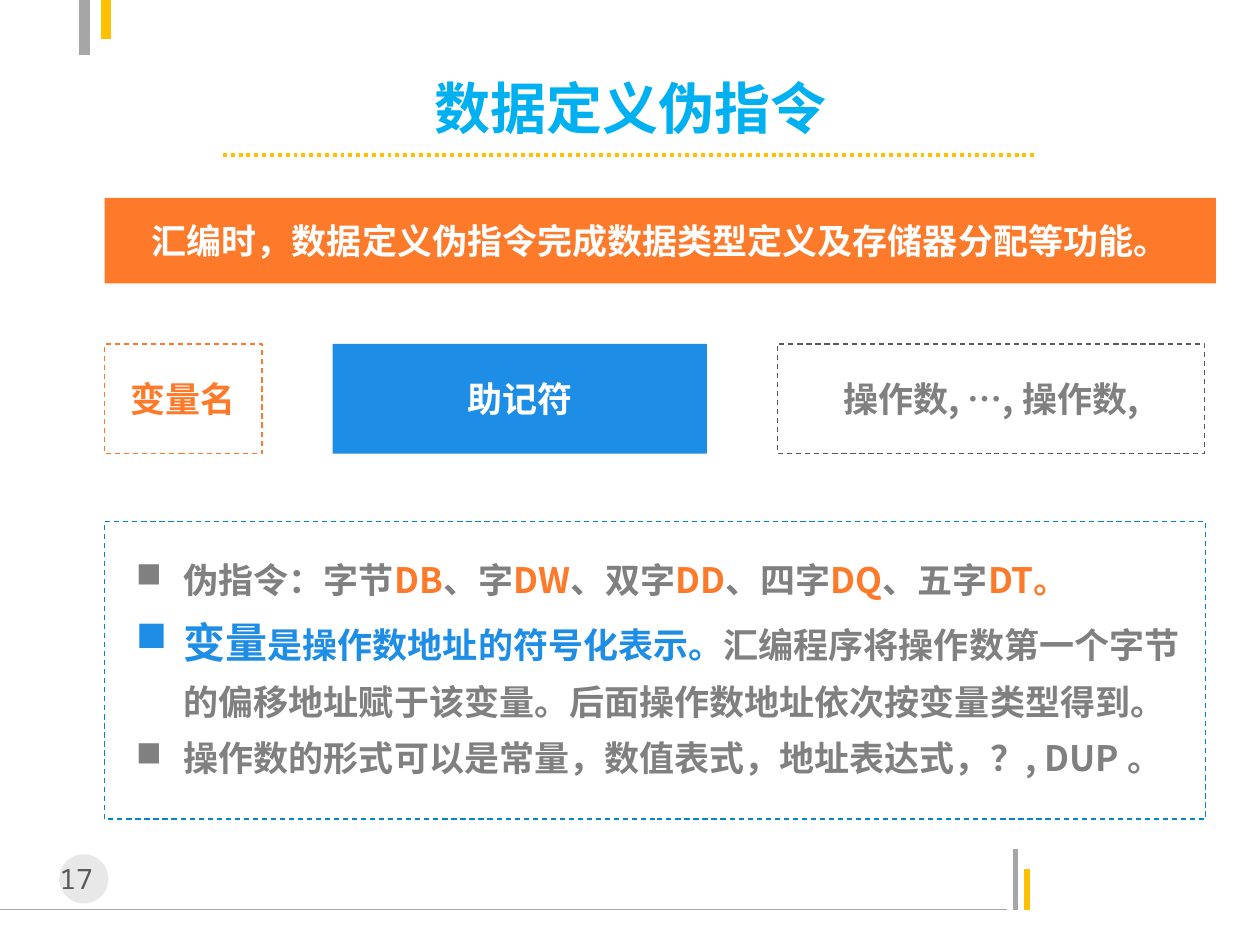
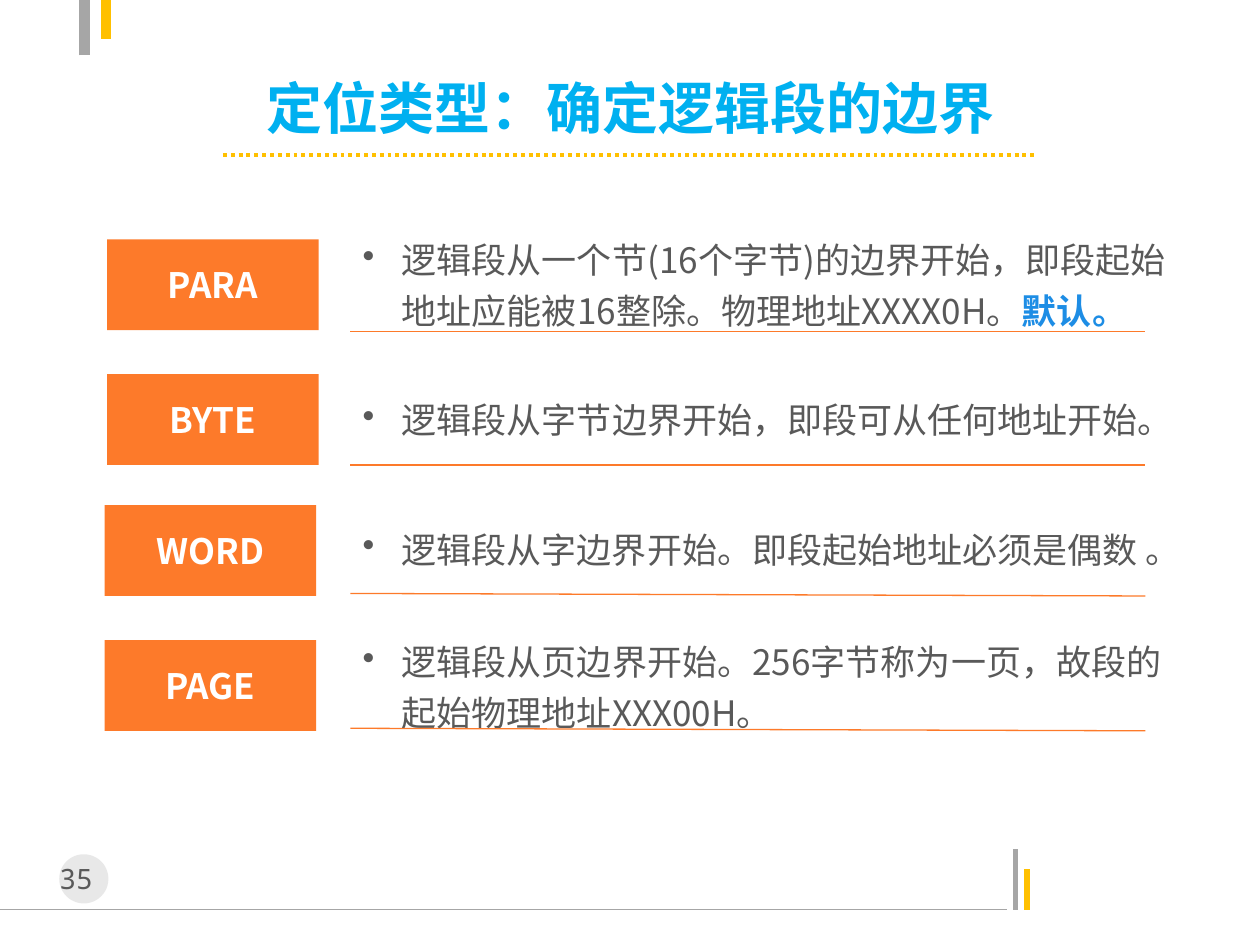
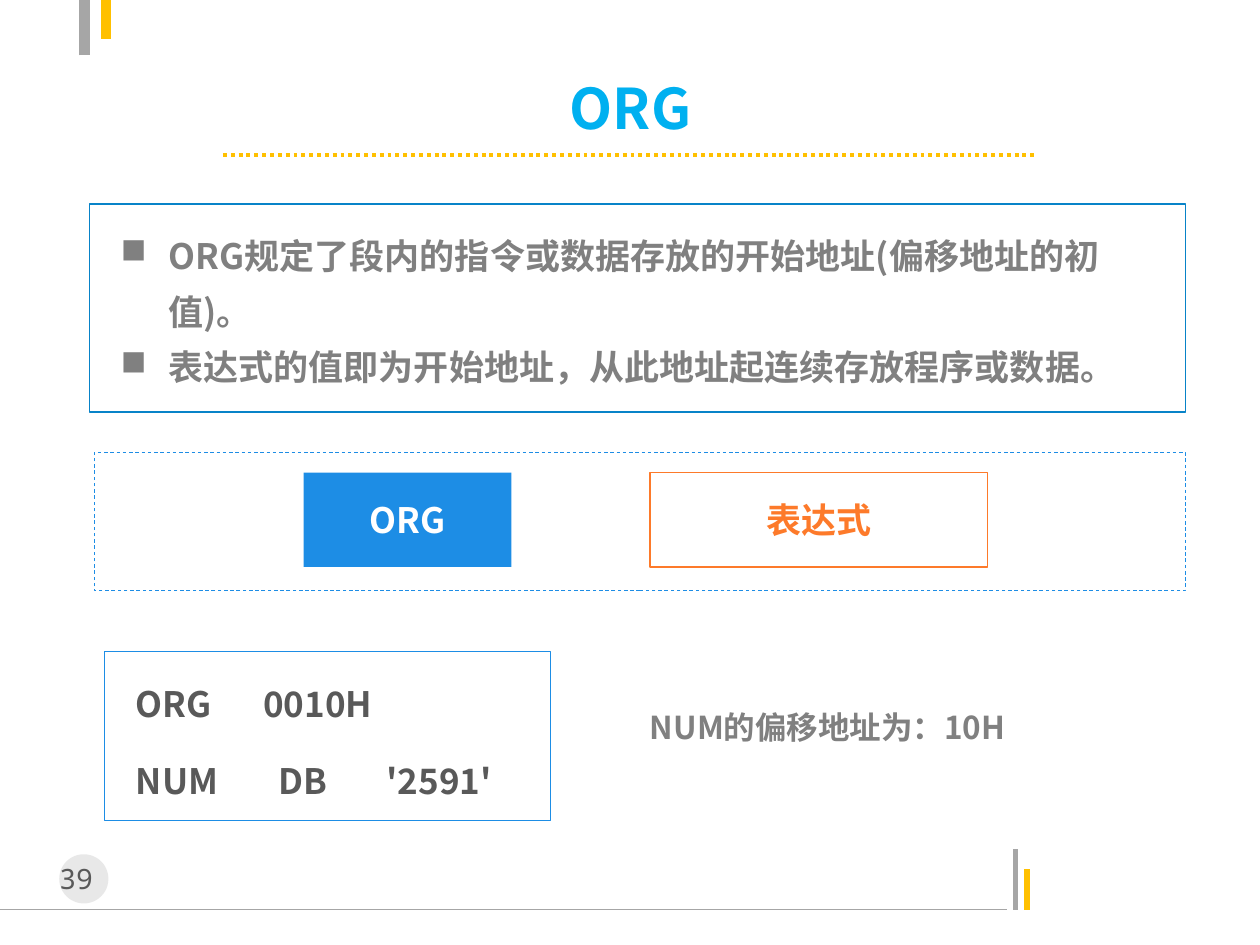
"""Build three slides on assembler directives: data definition, segment alignment and ORG."""
from lxml.etree import SubElement
from pptx import Presentation
from pptx.dml.color import RGBColor
from pptx.enum.dml import MSO_LINE
from pptx.enum.shapes import MSO_CONNECTOR, MSO_SHAPE
from pptx.enum.text import MSO_ANCHOR, MSO_AUTO_SIZE, PP_ALIGN
from pptx.oxml.ns import qn
from pptx.util import Inches, Pt

rgb = RGBColor.from_string
SANS, MONO = "Noto Sans CJK SC", "Noto Sans Mono"
ORANGE, BLUE, DEEP_BLUE, SKY = "FD7A2A", "1D8DE5", "0883C8", "00B0F0"
YELLOW, SILVER, GRAY, DARK, WHITE = "FFC000", "A6A6A6", "808080", "595959", "FFFFFF"
DASH, DOTS = MSO_LINE.DASH, MSO_LINE.ROUND_DOT
CENTER, MIDDLE = PP_ALIGN.CENTER, MSO_ANCHOR.MIDDLE


def draw(s, kind, at, fill=None, line=None, width=0.75, dash=None):
    """Add a line (from x, y to x, y), a text box or a preset shape (left, top, width, height)."""
    at = [Inches(v) for v in at]
    if kind == "text":
        return s.shapes.add_textbox(*at)
    if kind == "line":
        sp = s.shapes.add_connector(MSO_CONNECTOR.STRAIGHT, *at)
        SubElement(sp._element.spPr, qn("a:effectLst"))
    else:
        sp = s.shapes.add_shape(kind, *at)
        sp.shadow.inherit = False
        if fill:
            sp.fill.solid()
            sp.fill.fore_color.rgb = rgb(fill)
        else:
            sp.fill.background()
    if line:
        sp.line.color.rgb = rgb(line)
        sp.line.width = Pt(width)
        if dash:
            sp.line.dash_style = dash
    else:
        sp.line.fill.background()
    return sp


def write(sp, *paras, size=20, color=GRAY, bold=True, font=SANS, align=None,
          anchor=None, spacing=None, bullet=None, indent=0.38, tabs=(), wrap=True):
    """Write paragraphs, each a string or a list of (text, changed format) runs."""
    tf = sp.text_frame
    tf.word_wrap = wrap
    tf.auto_size = MSO_AUTO_SIZE.NONE
    if anchor is not None:
        tf.vertical_anchor = anchor
    for i, para in enumerate(paras):
        p = tf.add_paragraph() if i else tf.paragraphs[0]
        pPr = p._p.get_or_add_pPr()
        if bullet:
            pPr.set("marL", str(Inches(indent)))
            pPr.set("indent", str(-Inches(indent)))
            SubElement(pPr, qn("a:buChar"), char=bullet)
        if tabs:
            tab_list = SubElement(pPr, qn("a:tabLst"))
            for pos in tabs:
                SubElement(tab_list, qn("a:tab"), pos=str(Inches(pos)), algn="l")
        if align is not None:
            p.alignment = align
        if spacing:
            p.line_spacing = spacing
        for text, change in [(para, {})] if isinstance(para, str) else para:
            r = p.add_run()
            r.text = text
            r.font.size = Pt(change.get("size", size))
            r.font.bold = change.get("bold", bold)
            r.font.color.rgb = rgb(change.get("color", color))
            r.font.name = font
            SubElement(r._r.get_or_add_rPr(), qn("a:ea"), typeface=font)


prs = Presentation()
prs.slide_width, prs.slide_height = Inches(10), Inches(7.5)
RECT = MSO_SHAPE.RECTANGLE
label = dict(align=CENTER, anchor=MIDDLE)
squares = dict(spacing=1.33, bullet="■")

frame_lines = [
    ((0, 7.22, 7.99, 7.22), SILVER, 0.75),
    ((8.06, 7.22, 8.06, 6.74), SILVER, 3),
    ((8.15, 7.22, 8.15, 6.9), YELLOW, 3),
    ((0.67, 0.44, 0.67, 0), SILVER, 6),
    ((0.84, 0, 0.84, 0.31), YELLOW, 6),
]
slides = []
for title, number in [("数据定义伪指令", "17"), ("定位类型：确定逻辑段的边界", "35"), ("ORG", "39")]:
    s = prs.slides.add_slide(prs.slide_layouts[5])
    slides.append(s)
    for at, color, width in frame_lines:
        draw(s, "line", at, line=color, width=width)
    disc = draw(s, MSO_SHAPE.OVAL, (0.47, 6.78, 0.39, 0.39), fill="BFBFBF")
    disc_color = disc._element.spPr.find(qn("a:solidFill")).find(qn("a:srgbClr"))
    SubElement(disc_color, qn("a:alpha"), val="35000")
    write(draw(s, "text", (0.25, 6.79, 0.71, 0.37)), number,
          size=16, color=DARK, bold=False, font=MONO, align=CENTER)
    sp = s.shapes.title
    sp.left, sp.top, sp.width, sp.height = (Inches(v) for v in (1.38, 0.6, 7.25, 0.5))
    write(sp, title, size=32, color=SKY, wrap=False, **label)
    draw(s, "line", (1.77, 1.23, 8.23, 1.23), line=YELLOW, width=2.25, dash=DOTS)

s = slides[0]
for text, left, width, fill, line, color in [
    ("变量名", 0.83, 1.25, None, ORANGE, ORANGE),
    ("助记符", 2.64, 2.97, BLUE, None, WHITE),
    ("操作数, …, 操作数,", 6.17, 3.39, None, DARK, GRAY),
]:
    sp = draw(s, RECT, (left, 2.73, width, 0.87), fill=fill, line=line, dash=DASH)
    write(sp, text, color=color, **label)
draw(s, RECT, (0.83, 4.14, 8.74, 2.36), line=DEEP_BLUE, dash=DASH)
directives = []
for name, mnemonic in [("伪指令：字节", "DB"), ("、字", "DW"), ("、双字", "DD"),
                       ("、四字", "DQ"), ("、五字", "DT。")]:
    directives += [(name, {}), (mnemonic, {"color": ORANGE})]
write(draw(s, "text", (0.98, 4.27, 8.58, 1.98)),
      directives,
      [("变量", {"size": 24, "color": BLUE}),
       ("是操作数地址的符号化表示。", {"color": BLUE}),
       ("汇编程序将操作数第一个字节的偏移地址赋于该变量。后面操作数地址依次按变量类型得到。", {})],
      "操作数的形式可以是常量，数值表式，地址表达式，？, DUP 。",
      **squares)
write(draw(s, RECT, (0.83, 1.57, 8.82, 0.68), fill=ORANGE),
      "汇编时，数据定义伪指令完成数据类型定义及存储器分配等功能。", color=WHITE, **label)

s = slides[1]
for name, left, top, text_top, width, height, line_start, line_end, runs in [
    ("PARA", 0.85, 1.9, 1.78, 6.79, 0.91, 2.63, 2.63,
     [("逻辑段从一个节(16个字节)的边界开始，即段起始地址应能被16整除。物理地址XXXX0H。", {}),
      ("默认。", {"color": BLUE, "bold": True})]),
    ("BYTE", 0.85, 2.97, 3.05, 6.79, 0.5, 3.69, 3.69,
     "逻辑段从字节边界开始，即段可从任何地址开始。"),
    ("WORD", 0.83, 4.01, 4.08, 6.94, 0.5, 4.71, 4.73,
     "逻辑段从字边界开始。即段起始地址必须是偶数 。"),
    ("PAGE", 0.83, 5.08, 4.97, 6.55, 0.91, 5.78, 5.8,
     "逻辑段从页边界开始。256字节称为一页，故段的起始物理地址XXX00H。"),
]:
    write(draw(s, RECT, (left, top, 1.68, 0.72), fill=ORANGE), name, color=WHITE, **label)
    write(draw(s, "text", (2.78, text_top, width, height)), runs,
          color=DARK, bold=False, spacing=1.2, bullet="•", indent=0.31)
    draw(s, "line", (2.78, line_start, 9.09, line_end), line=ORANGE)

s = slides[2]
write(draw(s, RECT, (5.16, 3.75, 2.68, 0.75), line=ORANGE), "表达式", color=ORANGE, **label)
write(draw(s, RECT, (2.41, 3.75, 1.65, 0.75), fill=BLUE), "ORG", color=WHITE, **label)
draw(s, RECT, (0.71, 1.62, 8.7, 1.65), line=DEEP_BLUE)
write(draw(s, "text", (0.86, 1.7, 8.55, 1.44)),
      "ORG规定了段内的指令或数据存放的开始地址(偏移地址的初值)。",
      "表达式的值即为开始地址，从此地址起连续存放程序或数据。",
      **squares)
for code, top, width, height, tabs in [
    ("ORG\t0010H", 5.27, 2.98, 0.49, [1.01]),
    ("NUM\tDB\t'2591'", 5.88, 3.3, 0.54, [1.13, 1.99]),
]:
    write(draw(s, "text", (0.98, top, width, height)), code, color=DARK, spacing=1.29, tabs=tabs)
draw(s, RECT, (0.83, 5.17, 3.54, 1.34), line=BLUE, width=0.5)
draw(s, RECT, (0.75, 3.59, 8.66, 1.1), line=BLUE, width=0.5, dash=DASH)
write(draw(s, "text", (5.06, 5.57, 3.16, 0.4)), "NUM的偏移地址为：10H", size=18, wrap=False)

prs.save("out.pptx")
